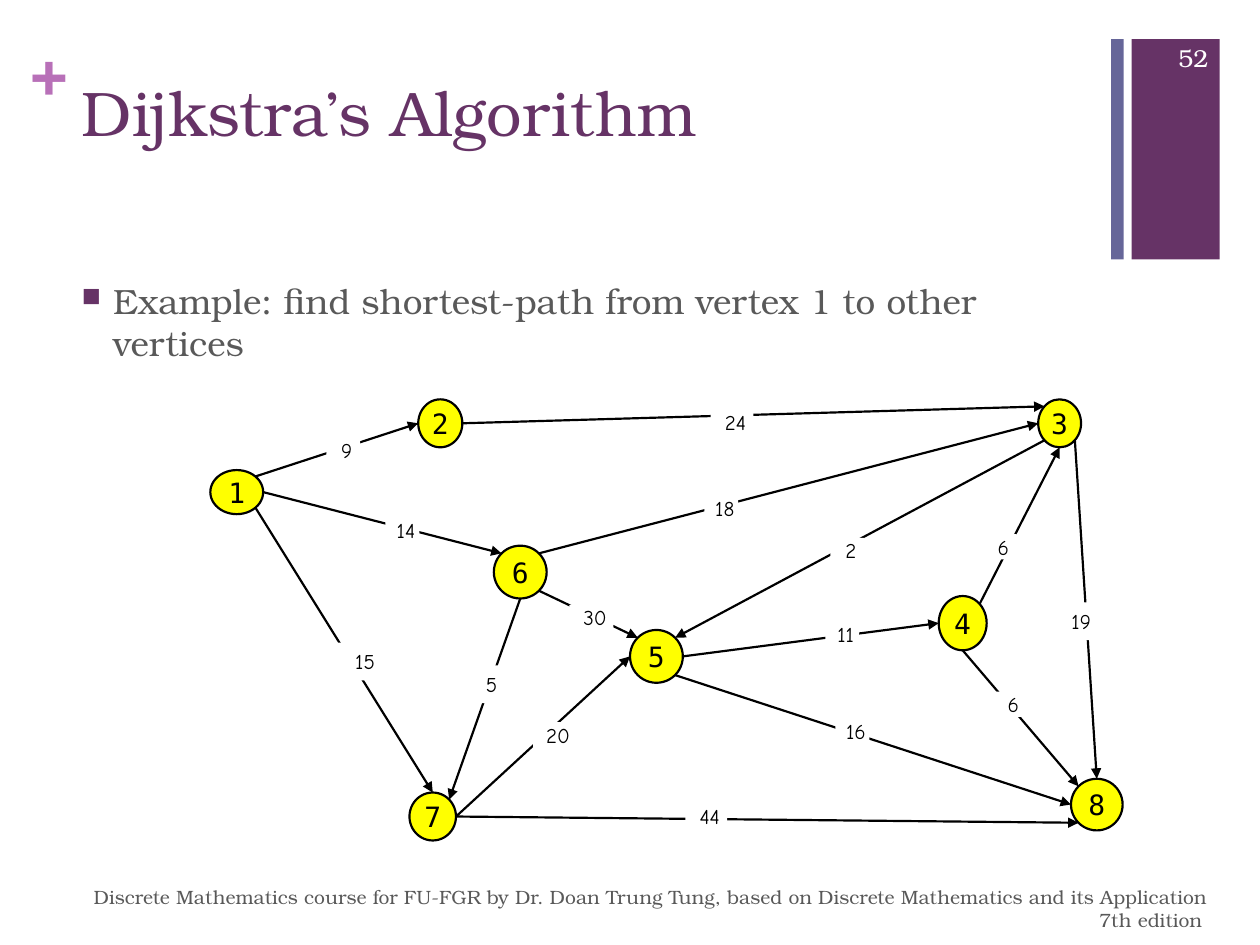
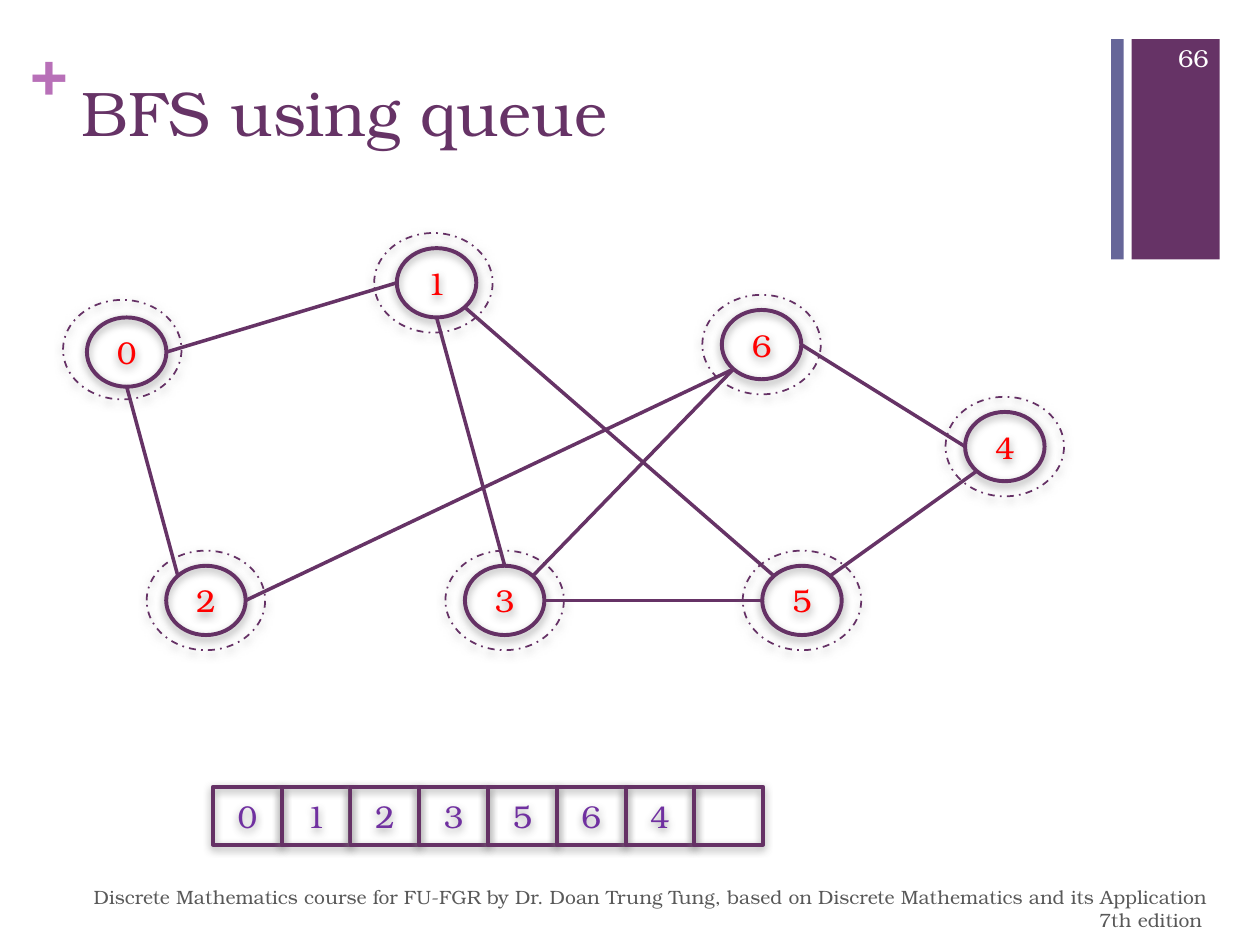
"""Build two graph slides: Dijkstra's shortest paths and a breadth-first search queue."""
from math import cos, radians, sin

from lxml.etree import SubElement
from pptx import Presentation
from pptx.dml.color import RGBColor
from pptx.enum.dml import MSO_LINE_DASH_STYLE as Dash
from pptx.enum.shapes import MSO_CONNECTOR as Link, MSO_SHAPE as Kind
from pptx.enum.text import MSO_ANCHOR as Anchor, PP_ALIGN as Align
from pptx.oxml.ns import qn
from pptx.util import Pt

COLORS = {
    "plum": "663366", "slate": "666699", "orchid": "B870B8", "gray": "595959",
    "white": "FFFFFF", "black": "000000", "yellow": "FFFF00", "outline": "653165",
    "red": "FF0000", "violet": "7030A0", "shadow": "808080",
}
SERIF, MONO, COMIC = "TeX Gyre Bonum", "DejaVu Sans Mono", "Comic Neue"
INSETS = (7.2, 3.6)
ANGLES = {"E": 0, "SE": 45, "S": 90, "SW": 135, "W": 180, "NW": 225, "N": 270, "NE": 315}
FOOTER = ("Discrete Mathematics course for FU-FGR by Dr. Doan Trung Tung, "
          "based on Discrete Mathematics and its Application 7th edition ")


def rgb(name):
    return RGBColor.from_string(COLORS[name])


def rim(box, side):
    left, top, width, height = box
    angle = radians(ANGLES[side])
    return left + width / 2 * (1 + cos(angle)), top + height / 2 * (1 + sin(angle))


def centered(center, size):
    return center[0] - size[0] / 2, center[1] - size[1] / 2, *size


class Deck:
    def __init__(self):
        self.show = Presentation()
        self.show.slide_width, self.show.slide_height = Pt(720), Pt(540)
        self.slide = None

    def new_slide(self, title, number):
        self.slide = self.show.slides.add_slide(self.show.slide_layouts[6])
        self.shape(Kind.RECTANGLE, (646.6, 22.3, 50.4, 126), fill="plum")
        self.text((17.3, 18, 20.9, 43.9), "+", 36, "orchid", bold=True, insets=(0, 0))
        self.shape(Kind.RECTANGLE, (635, 22.3, 7.2, 126), fill="slate")
        self.text((39.6, 38.2, 594.7, 87.8), title, 36, "plum")
        self.text((39.6, 504.7, 658.1, 28.8), FOOTER, 11, "gray",
                  align=Align.RIGHT, anchor=Anchor.MIDDLE)
        self.text((653.8, 18.7, 43.9, 28.8), number, 14, "white",
                  align=Align.RIGHT, anchor=Anchor.MIDDLE)

    def fill_text(self, holder, words, size, color, font=SERIF, bold=False,
                  align=Align.LEFT, anchor=Anchor.TOP, insets=INSETS, wrap=True):
        frame = holder.text_frame
        frame.word_wrap, frame.vertical_anchor = wrap, anchor
        frame.margin_left = frame.margin_right = Pt(insets[0])
        frame.margin_top = frame.margin_bottom = Pt(insets[1])
        paragraph = frame.paragraphs[0]
        paragraph.text, paragraph.alignment = words, align
        paragraph.font.name, paragraph.font.size = font, Pt(size)
        paragraph.font.bold = bold
        paragraph.font.color.rgb = rgb(color)
        return paragraph

    def text(self, box, words, size, color, **style):
        holder = self.slide.shapes.add_textbox(*map(Pt, box))
        return self.fill_text(holder, words, size, color, **style)

    def bullet(self, box, words, size, color):
        props = self.text(box, words, size, color)._p.get_or_add_pPr()
        props.set("marL", str(Pt(18)))
        props.set("indent", str(-Pt(18)))
        marker = [
            SubElement(props, qn("a:buClr")),
            SubElement(props, qn("a:buSzPct"), val="75000"),
            SubElement(props, qn("a:buChar"), char="■"),
        ]
        SubElement(marker[0], qn("a:srgbClr"), val=COLORS["plum"])
        for position, element in enumerate(marker):
            props.insert(position, element)

    def shape(self, kind, box, fill=None, line=None, weight=1, dash=None, shadow=False):
        shape = self.slide.shapes.add_shape(kind, *map(Pt, box))
        shape.shadow.inherit = False
        if fill:
            shape.fill.solid()
            shape.fill.fore_color.rgb = rgb(fill)
        else:
            shape.fill.background()
        if line:
            shape.line.color.rgb = rgb(line)
            shape.line.width = Pt(weight)
            if dash:
                shape.line.dash_style = dash
        else:
            shape.line.fill.background()
        if shadow:
            effects = shape.element.spPr.find(qn("a:effectLst"))
            outer = SubElement(effects, qn("a:outerShdw"), blurRad=str(Pt(5)),
                               dist=str(Pt(2)), dir="5400000", rotWithShape="0")
            tint = SubElement(outer, qn("a:srgbClr"), val=COLORS["shadow"])
            SubElement(tint, qn("a:alpha"), val="75000")
        return shape

    def edge(self, start, end, color, weight, arrow=False):
        edge = self.slide.shapes.add_connector(Link.STRAIGHT, *map(Pt, (*start, *end)))
        edge.line.color.rgb = rgb(color)
        edge.line.width = Pt(weight)
        props = edge.element.spPr
        if arrow:
            SubElement(props.find(qn("a:ln")), qn("a:tailEnd"), type="triangle")
        SubElement(props, qn("a:effectLst"))

    def edges(self, boxes, links, color, weight, arrow=False):
        for source, leave, target, enter in links:
            self.edge(rim(boxes[source], leave), rim(boxes[target], enter),
                      color, weight, arrow)

    def vertex(self, box, name):
        disc = self.shape(Kind.OVAL, box, "yellow", "black", 1.25)
        self.fill_text(disc, name, 16, "black", font=MONO, align=Align.CENTER,
                       anchor=Anchor.MIDDLE, wrap=False)

    def weight_label(self, words, left, top, width=19.4, insets=(0, 0)):
        box = left, top, width, 14.4 + 2 * insets[1]
        patch = self.shape(Kind.RECTANGLE, box, "white")
        self.fill_text(patch, f" {words}", 12, "black", font=COMIC, align=Align.CENTER,
                       insets=insets)

    def outlined(self, kind, box, words, color):
        shape = self.shape(kind, box, line="outline", weight=2.25, shadow=True)
        if words:
            self.fill_text(shape, words, 18, color, align=Align.CENTER,
                           anchor=Anchor.MIDDLE)


def dijkstra(deck):
    deck.new_slide("Dijkstra’s Algorithm", "52")
    deck.bullet((39.6, 156.2, 594.7, 326.2),
                "Example: find shortest-path from vertex 1 to other vertices", 20, "gray")
    vertices = {
        "1": (120.2, 268.6, 30.2, 25.2), "3": (593.3, 228.2, 24.5, 27.4),
        "8": (612, 445, 29.5, 29.5), "2": (239, 228.2, 25.2, 27.4),
        "6": (282.2, 311.8, 30.2, 30.2), "7": (234, 452.9, 26.6, 27.4),
        "4": (536.4, 340.6, 27.4, 31), "5": (360, 360, 30.2, 30.2),
    }
    for name, box in vertices.items():
        deck.vertex(box, name)
    links = [
        ("1", "NE", "2", "W"), ("1", "E", "6", "NW"), ("1", "SE", "7", "N"),
        ("6", "NE", "3", "W"), ("4", "NE", "3", "S"), ("6", "SE", "5", "NW"),
        ("5", "SE", "8", "W"), ("5", "E", "4", "W"), ("4", "S", "8", "NW"),
        ("3", "SW", "5", "NE"), ("6", "S", "7", "NE"), ("7", "E", "5", "W"),
        ("2", "E", "3", "NW"), ("7", "E", "8", "SW"), ("3", "SE", "8", "N"),
    ]
    deck.edges(vertices, links, "black", 1.25, arrow=True)
    weights = [
        (24, 406.1, 234, 24.5), (18, 402.5, 283), (2, 474.5, 307.4), (9, 186.5, 249.8),
        (14, 220.3, 295.9), (15, 191.5, 367.2, 30.2, (3.6, 3.6)),
        (5, 269.3, 380.2, 19.4, (3.6, 3.6)), (30, 325.4, 345.6, 25.2),
        (20, 304.6, 412.6, 24.5), (44, 391.7, 459.4, 23.8), (16, 477.4, 410.4),
        (11, 471.6, 355), (6, 561.6, 305.3), (19, 606.2, 344.2, 19.4, (0, 3.6)),
        (6, 567.4, 395.3),
    ]
    for weight in weights:
        deck.weight_label(*weight)


def bfs(deck):
    deck.new_slide("BFS using queue", "66")
    centers = {
        "0": (72.4, 201.2), "1": (249.5, 161.6), "2": (117.7, 343.1), "3": (288.4, 343.1),
        "5": (458.3, 343.1), "6": (435.2, 196.9), "4": (574.2, 255.2),
    }
    nodes = {name: centered(center, (45.4, 39.6)) for name, center in centers.items()}
    for name, box in nodes.items():
        deck.outlined(Kind.OVAL, box, name, "red")
    links = [
        ("0", "E", "1", "W"), ("0", "S", "2", "NW"), ("1", "S", "3", "N"),
        ("1", "SE", "5", "NW"), ("2", "E", "6", "SW"), ("3", "E", "5", "W"),
        ("6", "SW", "3", "NE"), ("5", "NE", "4", "SW"), ("6", "E", "4", "W"),
    ]
    deck.edges(nodes, links, "plum", 2)
    for place, name in enumerate(["0", "1", "2", "3", "5", "6", "4", ""]):
        deck.outlined(Kind.RECTANGLE, (121.7 + 39.3 * place, 449.6, 39.3, 33.1),
                      name, "violet")
    ring_shifts = {"0": (-2.5, -1.4), "1": (-1.8, 0)}
    for name, (x, y) in centers.items():
        dx, dy = ring_shifts.get(name, (0, 0))
        deck.shape(Kind.OVAL, centered((x + dx, y + dy), (67.7, 56.9)),
                   line="outline", dash=Dash.DASH_DOT, shadow=True)


def main():
    deck = Deck()
    dijkstra(deck)
    bfs(deck)
    deck.show.save("out.pptx")


if __name__ == "__main__":
    main()
